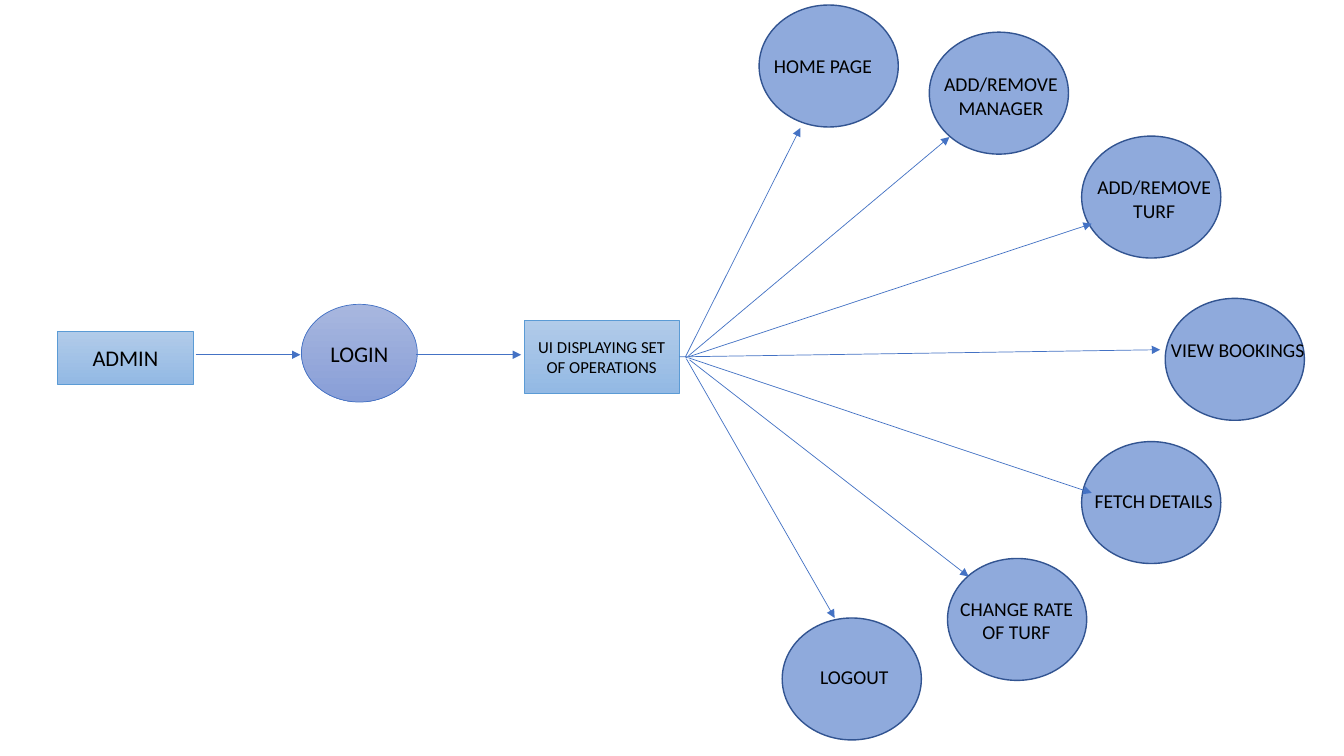
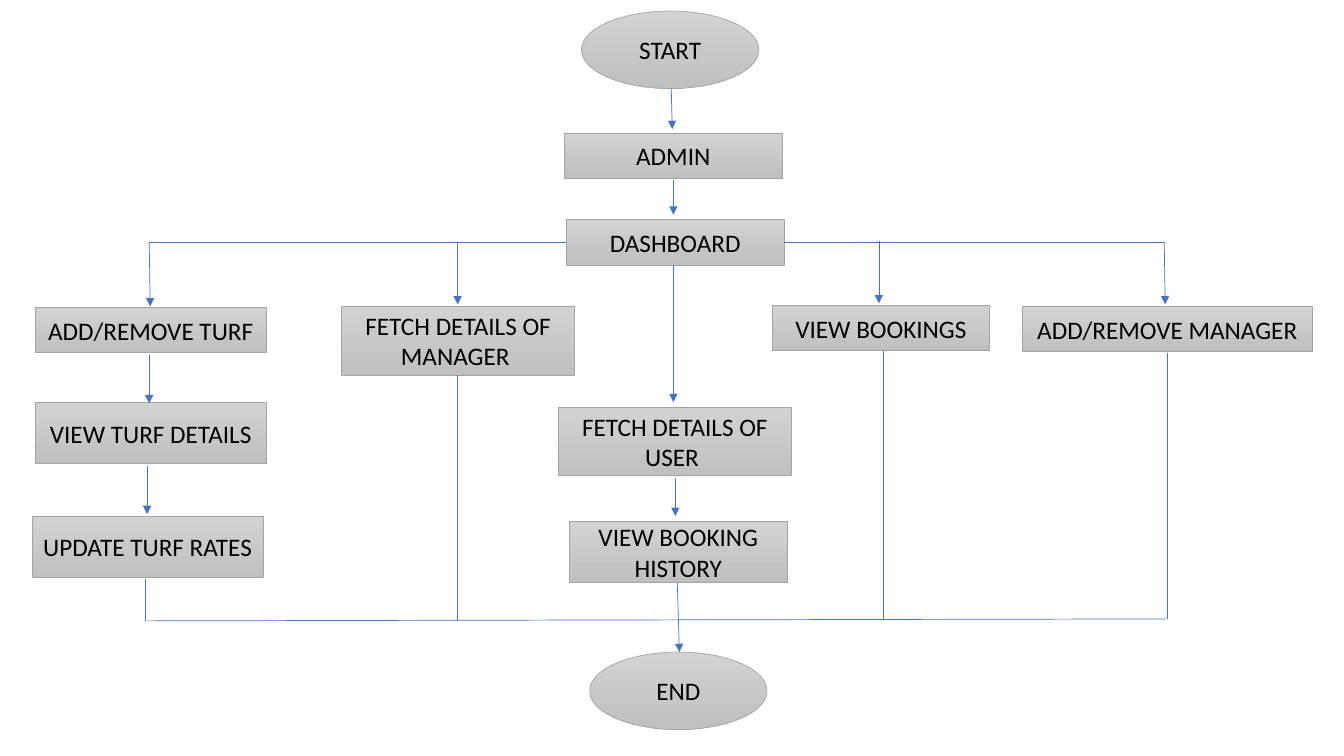
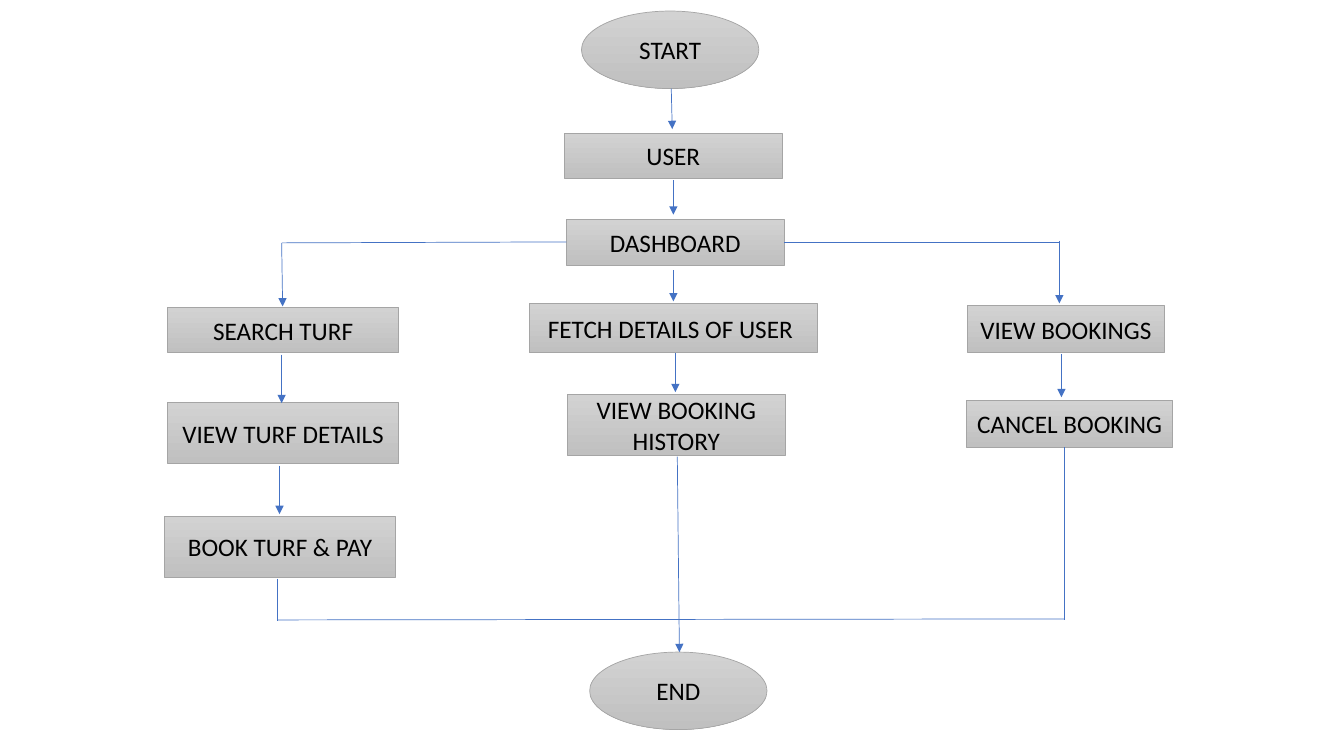
import pptx
import pptx.util
import pptx.dml.color
import pptx.enum.shapes
import pptx.enum.text
import pptx.oxml.ns
from lxml import etree

Pt = pptx.util.Pt
MSO = pptx.enum.shapes.MSO_SHAPE
FONT = "Calibri"
COLORS = {"text": "000000", "arrow": "4472C4"}
# Style name: fill colours from top to bottom, outline colour, outline width
STYLES = {
    "box": (["B1CBE9", "93B9E4"], "5B9BD5", 0.5),
    "login": (["A8B7DF", "889ED7"], "4472C4", 0.5),
    "bubble": (["8FAADC"], "325491", 1),
    "step": (["D2D2D2", "C0C0C0"], "A5A5A5", 0.5),
}


def rgb(value):
    return pptx.dml.color.RGBColor.from_string(value)


class Deck:
    """Holds the presentation, its style and the current slide."""

    def __init__(self):
        self.prs = pptx.Presentation()
        self.prs.slide_width, self.prs.slide_height = Pt(960), Pt(540)

    def new_slide(self):
        self.s = self.prs.slides.add_slide(self.prs.slide_layouts[6])

    def add_text(self, sp, text, size):
        tf = sp.text_frame
        tf.word_wrap = True
        p = tf.paragraphs[0]
        p.alignment = pptx.enum.text.PP_ALIGN.CENTER
        r = p.add_run()
        r.text = text
        r.font.size, r.font.name = Pt(size), FONT
        r.font.color.rgb = rgb(COLORS["text"])
        return tf

    def shape(self, text, x, y, w, h, kind=MSO.RECTANGLE, style="step", size=18):
        sp = self.s.shapes.add_shape(kind, Pt(x), Pt(y), Pt(w), Pt(h))
        sp.shadow.inherit = False
        fills, outline, width = STYLES[style]
        if len(fills) == 1:
            sp.fill.solid()
            sp.fill.fore_color.rgb = rgb(fills[0])
        else:
            sp.fill.gradient()
            sp.fill.gradient_angle = 270
            for stop, color in zip(sp.fill.gradient_stops, fills):
                stop.color.rgb = rgb(color)
        sp.line.color.rgb = rgb(outline)
        sp.line.width = Pt(width)
        if text:
            tf = self.add_text(sp, text, size)
            tf.vertical_anchor = pptx.enum.text.MSO_ANCHOR.MIDDLE

    def label(self, text, x, y, w):
        sp = self.s.shapes.add_textbox(Pt(x), Pt(y), Pt(w), Pt(24.5))
        self.add_text(sp, text, 14)

    def line(self, x1, y1, x2, y2, arrow=False):
        sp = self.s.shapes.add_connector(
            pptx.enum.shapes.MSO_CONNECTOR.STRAIGHT, Pt(x1), Pt(y1), Pt(x2), Pt(y2))
        sp.line.color.rgb = rgb(COLORS["arrow"])
        sp.line.width = Pt(0.5)
        qn = pptx.oxml.ns.qn
        spPr = sp._element.spPr
        if arrow:
            etree.SubElement(spPr.find(qn("a:ln")), qn("a:tailEnd"), type="triangle")
        etree.SubElement(spPr, qn("a:effectLst"))

    def arrow(self, x1, y1, x2, y2):
        self.line(x1, y1, x2, y2, arrow=True)

    def trunk(self, role):
        """Start, role, dashboard and end, as on every flowchart."""
        self.shape("START", 415.4, 7.9, 126.7, 55.4, MSO.OVAL)
        self.arrow(479.5, 63.4, 480.2, 92.2)
        self.shape(role, 403.2, 95, 155.5, 32.4)
        self.arrow(481, 128.9, 481, 153.4)
        self.shape("DASHBOARD", 404.6, 157, 155.5, 32.4)
        self.shape("END", 421.2, 465.8, 126.7, 55.4, MSO.OVAL)

    def turf_column(self, names, dx):
        """Three turf steps on the left, moved right by dx."""
        places = [(25.2, 219.6, 32.4), (25.2, 287.3, 43.9), (23, 368.6, 43.9)]
        for name, (x, y, h) in zip(names, places):
            self.shape(name, x + dx, y, 164.9, h)
        self.arrow(106.6 + dx, 173.5, 107.3 + dx, 218.9)
        self.arrow(106.6 + dx, 253.4, 106.6 + dx, 288)
        self.arrow(105.1 + dx, 332.6, 105.1 + dx, 367.2)
        self.line(103.7 + dx, 413.3, 103.7 + dx, 443.5)

    def flowchart(self, role, turf_steps, dx, steps, arrows, lines):
        self.new_slide()
        self.trunk(role)
        self.turf_column(turf_steps, dx)
        for step in steps:
            self.shape(*step)
        for ends in arrows:
            self.arrow(*ends)
        for ends in lines:
            self.line(*ends)


def admin_operations(d):
    d.new_slide()
    # Path from admin to the operations
    d.shape("ADMIN", 41, 236.9, 97.2, 37.4, style="box", size=16)
    d.shape("LOGIN", 215.3, 217.4, 82.8, 69.8, MSO.FLOWCHART_CONNECTOR, "login", 16)
    d.shape("UI DISPLAYING SET OF OPERATIONS", 374.4, 229, 110.9, 51.8,
            style="box", size=12)
    d.arrow(139.7, 253.4, 214.6, 253.4)
    d.arrow(297.4, 253.4, 372.2, 253.4)
    # Operations: bubble corner, label place and width, arrow ends
    operations = [
        ("HOME PAGE", (542.2, 3.6), (534.2, 35.3, 107.3), (489.6, 254.9, 571.7, 91.4)),
        ("ADD/REMOVE MANAGER", (663.8, 23), (653.8, 48.2, 122.4),
         (491.8, 254.2, 678.2, 97.9)),
        ("ADD/REMOVE TURF", (772.6, 97.2), (769, 121.7, 110.9),
         (489.6, 255.6, 779.8, 159.8)),
        ("VIEW BOOKINGS", (832.3, 213.1), (828.7, 237.6, 110.9),
         (485.3, 254.9, 828.7, 249.8)),
        ("FETCH DETAILS", (772.6, 315.4), (765.4, 345.6, 117.4),
         (491.8, 255.6, 779.8, 352.1)),
        ("CHANGE RATE OF TURF", (676.8, 398.9), (672.5, 422.6, 107.3),
         (492.5, 257, 691.9, 411.8)),
        ("LOGOUT", (558.7, 441.4), (556.6, 471.6, 107.3), (490.3, 256.3, 596.2, 441.4)),
    ]
    for name, corner, place, ends in operations:
        d.shape("", *corner, 99.4, 87.1, MSO.FLOWCHART_CONNECTOR, "bubble")
        d.arrow(*ends)
        d.label(name, *place)


def admin_flow(d):
    d.flowchart(
        "ADMIN", ["ADD/REMOVE TURF", "VIEW TURF DETAILS", "UPDATE TURF RATES"], 0,
        steps=[
            ("FETCH DETAILS OF MANAGER ", 244.1, 218.9, 166.3, 49),
            ("FETCH DETAILS OF USER ", 398.9, 290.9, 166.3, 49),
            ("VIEW BOOKING HISTORY", 406.8, 372.2, 155.5, 43.9),
            ("VIEW BOOKINGS", 551.5, 218.2, 155.5, 32.4),
            ("ADD/REMOVE MANAGER", 730.1, 218.9, 207.4, 32.4),
        ],
        arrows=[
            (326.9, 172.8, 326.9, 217.4),
            (481, 189.4, 481, 287.3),
            (482.4, 341.3, 482.4, 368.6),
            (483.8, 416.2, 485.3, 465.8),
            (627.8, 172.1, 627.8, 216.7),
            (831.6, 172.8, 832.3, 217.4),
        ],
        lines=[
            (404.6, 172.8, 106.6, 172.8),
            (831.6, 172.8, 560.2, 172.8),
            (326.9, 267.8, 326.9, 443.5),
            (630.7, 250.6, 630.7, 442.8),
            (833.8, 252, 833.8, 442.1),
            (833, 442.1, 105.1, 443.5),
        ])


def user_flow(d):
    d.flowchart(
        "USER", ["SEARCH TURF", "VIEW TURF DETAILS", "BOOK TURF & PAY"], 94.6,
        steps=[
            ("FETCH DETAILS OF USER ", 378, 216.7, 205.9, 35.3),
            ("VIEW BOOKING HISTORY", 405.4, 281.5, 155.5, 43.9),
            ("VIEW BOOKINGS", 691.2, 218.2, 140.4, 33.8),
            ("CANCEL BOOKING", 690.5, 285.8, 147.3, 33.8),
        ],
        arrows=[
            (481, 193, 481, 215.3),
            (482.4, 252, 482.4, 280.1),
            (483.8, 326.2, 485.3, 465.8),
            (756.7, 172.1, 756.7, 216.7),
            (758.2, 252.7, 758.2, 283.7),
        ],
        lines=[
            (404.6, 172.8, 201.6, 173.5),
            (756.7, 172.8, 560.2, 172.8),
            (760.3, 319.6, 760.3, 442.8),
            (760.3, 442.1, 198, 442.8),
        ])


def main():
    d = Deck()
    admin_operations(d)
    admin_flow(d)
    user_flow(d)
    d.prs.save("out.pptx")


if __name__ == "__main__":
    main()
